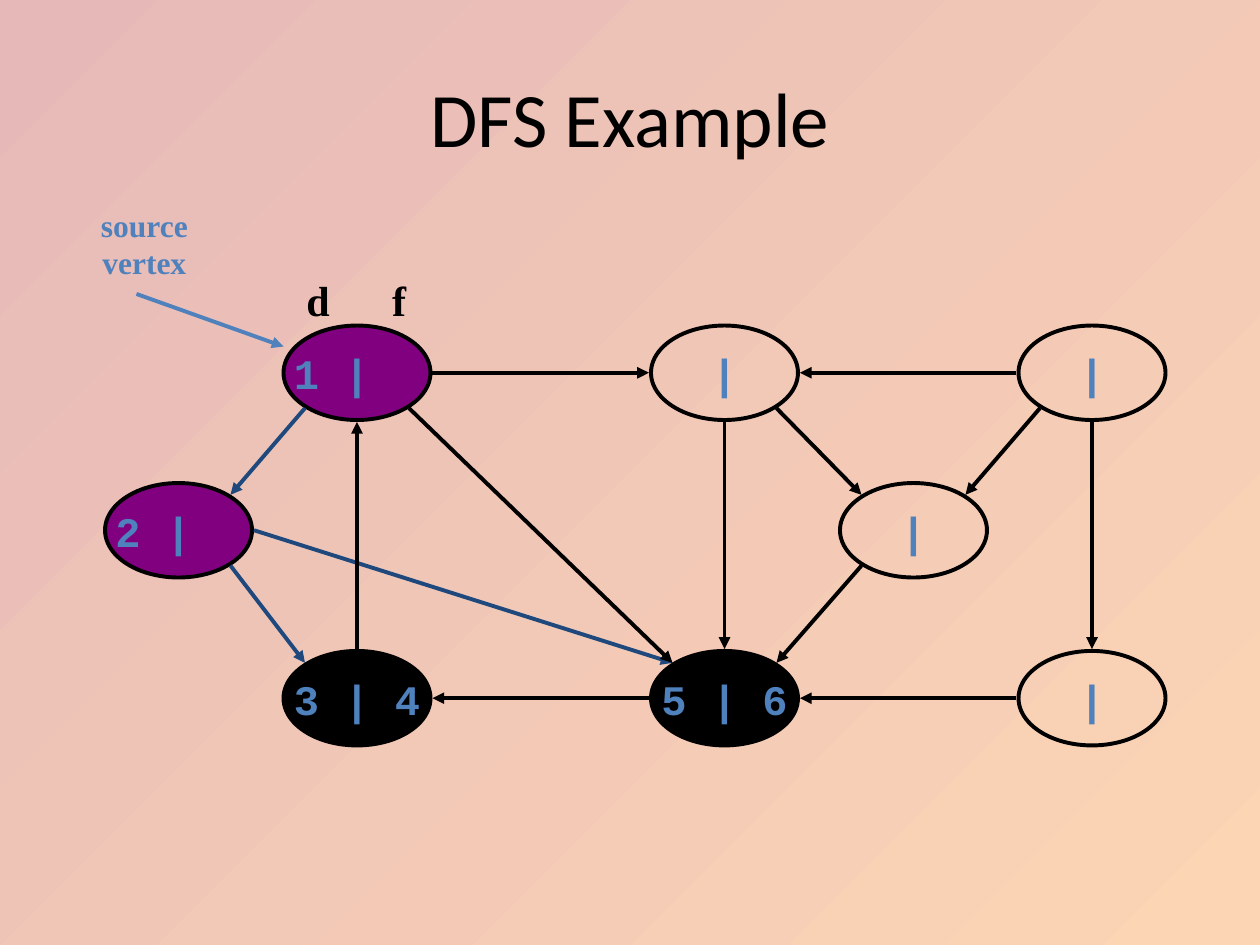
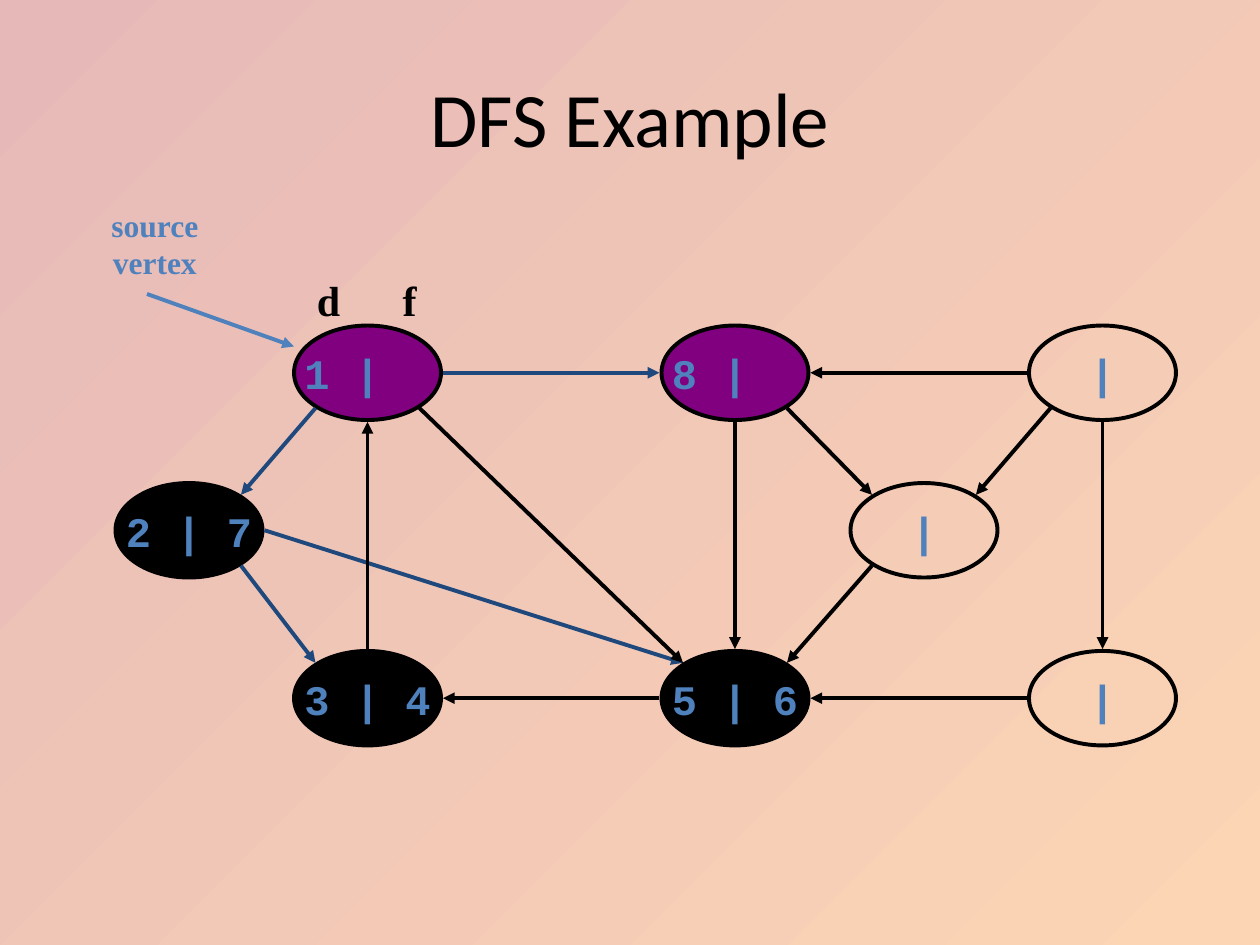
from math import sqrt

from lxml.etree import SubElement
from pptx import Presentation
from pptx.dml.color import RGBColor
from pptx.enum.shapes import MSO_CONNECTOR, MSO_SHAPE
from pptx.enum.text import MSO_ANCHOR, PP_ALIGN
from pptx.oxml.ns import qn
from pptx.util import Inches, Pt

COLORS = {
    "backdrop_start": "E6B9B8",
    "backdrop_end": "FCD5B5",
    "ink": "000000",
    "active": "800080",
    "finished": "000000",
    "accent": "4F81BD",
    "tree_edge": "1F497D",
}
WIDTH, HEIGHT = Inches(10), Inches(7.5)
GRID = WIDTH / 120
NODE_COLUMNS, NODE_ROWS = 14, 9
GAP = 0.19
LINE_WIDTH = Pt(2.25)

NODES = {
    "source": (27, 31), "top": (62, 31), "right": (97, 31),
    "sink": (97, 62), "bottom": (62, 62), "corner": (27, 62),
    "left": (10, 46), "middle": (80, 46),
}
EDGES = [
    ("source", "sw", "left", "ne"),
    ("left", "se", "corner", "nw"),
    ("left", "e", "bottom", "nw"),
    ("bottom", "w", "corner", "e"),
    ("corner", "n", "source", "s"),
    ("source", "se", "bottom", "nw"),
    ("top", "s", "bottom", "n"),
    ("source", "e", "top", "w"),
    ("right", "w", "top", "e"),
    ("top", "se", "middle", "nw"),
    ("right", "sw", "middle", "ne"),
    ("right", "s", "sink", "n"),
    ("sink", "w", "bottom", "e"),
    ("middle", "sw", "bottom", "ne"),
]
FIRST_TREE = {("source", "left"), ("left", "corner"), ("left", "bottom")}
STEPS = [
    (0, {"source": "1 |", "left": "2 |", "corner": "3 | 4", "bottom": "5 | 6"},
     FIRST_TREE),
    (1, {"source": "1 |", "top": "8 |", "left": "2 | 7", "corner": "3 | 4",
         "bottom": "5 | 6"},
     FIRST_TREE | {("source", "top")}),
]


def rgb(name):
    """Return the named colour."""
    return RGBColor.from_string(COLORS[name])


def cells(*values):
    """Convert grid cells to lengths."""
    return [round(value * GRID) for value in values]


def add_run(paragraph, text, font_name, size, color, bold=True):
    """Append one formatted run."""
    run = paragraph.add_run()
    run.text = text
    run.font.name, run.font.size, run.font.bold = font_name, Pt(size), bold
    run.font.color.rgb = rgb(color)


def style_master(master):
    """Give every slide the diagonal gradient."""
    fill = master.background.fill
    fill.gradient()
    fill.gradient_angle = 315
    for stop, name in zip(fill.gradient_stops, ("backdrop_start", "backdrop_end")):
        stop.color.rgb = rgb(name)


def add_title(slide, text):
    """Place the centred slide title."""
    title = slide.shapes.title
    title.left, title.top = round(WIDTH * 0.05), round(HEIGHT * 0.04)
    title.width, title.height = round(WIDTH * 0.9), Inches(1.25)
    title.text_frame.vertical_anchor = MSO_ANCHOR.MIDDLE
    paragraph = title.text_frame.paragraphs[0]
    paragraph.alignment = PP_ALIGN.CENTER
    add_run(paragraph, text, "Calibri", 44, "ink", bold=False)


def add_node(shapes, column, row, times):
    """Draw a vertex whose bar stays at its centre."""
    node = shapes.add_shape(MSO_SHAPE.OVAL, *cells(column, row, NODE_COLUMNS, NODE_ROWS))
    node.shadow.inherit = False
    node.line.color.rgb = rgb("ink")
    node.line.width = LINE_WIDTH
    discovered_only = times.endswith("|") and times != "|"
    if times == "|":
        node.fill.background()
    else:
        node.fill.solid()
        node.fill.fore_color.rgb = rgb("active" if discovered_only else "finished")
    frame = node.text_frame
    frame.word_wrap = False
    frame.vertical_anchor = MSO_ANCHOR.MIDDLE
    frame.margin_left = 0
    frame.margin_right = Inches(0.4) if discovered_only else 0
    paragraph = frame.paragraphs[0]
    paragraph.alignment = PP_ALIGN.CENTER
    add_run(paragraph, times, "Courier New", 24, "accent")


def site(name, direction):
    """Locate a connection point just outside a vertex."""
    column, row = NODES[name]
    across = ("e" in direction) - ("w" in direction)
    down = ("s" in direction) - ("n" in direction)
    diagonal = len(direction) == 2
    reach = 1 / sqrt(2) if diagonal else 1
    x = column + NODE_COLUMNS / 2 + across * (NODE_COLUMNS / 2 * reach + GAP * (not diagonal))
    y = row + NODE_ROWS / 2 + down * (NODE_ROWS / 2 * reach + GAP)
    return x, y


def add_arrow(shapes, shift, start, end, color):
    """Draw an arrow between two grid points."""
    (start_x, start_y), (end_x, end_y) = start, end
    arrow = shapes.add_connector(
        MSO_CONNECTOR.STRAIGHT, *cells(start_x + shift, start_y, end_x + shift, end_y))
    arrow.line.color.rgb = rgb(color)
    arrow.line.width = LINE_WIDTH
    SubElement(arrow.line._get_or_add_ln(), qn("a:tailEnd"), type="triangle")
    SubElement(arrow._element.spPr, qn("a:effectLst"))


def add_source_label(shapes, shift):
    """Name the source vertex and point at it."""
    add_arrow(shapes, shift, (13, 28), (27, 33), "accent")
    label = shapes.add_textbox(*cells(8.4 + shift, 19, 10.7, 8.4))
    label.text_frame.word_wrap = False
    paragraph = label.text_frame.paragraphs[0]
    paragraph.alignment = PP_ALIGN.CENTER
    add_run(paragraph, "source", "Times New Roman", 18, "accent")
    paragraph.add_line_break()
    add_run(paragraph, "vertex", "Times New Roman", 18, "accent")


def add_time_header(shapes, shift):
    """Head the discovery and finish times."""
    header = shapes.add_textbox(*cells(28 + shift, 24, NODE_COLUMNS, NODE_ROWS))
    frame = header.text_frame
    frame.word_wrap = True
    frame.vertical_anchor = MSO_ANCHOR.MIDDLE
    paragraph = frame.paragraphs[0]
    stops = SubElement(paragraph._p.get_or_add_pPr(), qn("a:tabLst"))
    SubElement(stops, qn("a:tab"), pos=str(Inches(0.68)), algn="l")
    add_run(paragraph, "d\tf", "Times New Roman", 24, "ink")


def add_graph(slide, shift, times, tree):
    """Draw the graph at one step of the search."""
    shapes = slide.shapes.add_group_shape().shapes
    for name, (column, row) in NODES.items():
        add_node(shapes, column + shift, row, times.get(name, "|"))
    for tail, leaving, head, entering in EDGES:
        color = "tree_edge" if (tail, head) in tree else "ink"
        add_arrow(shapes, shift, site(tail, leaving), site(head, entering), color)
    add_source_label(shapes, shift)
    add_time_header(shapes, shift)


def main():
    """Build the presentation."""
    presentation = Presentation()
    presentation.slide_width, presentation.slide_height = WIDTH, HEIGHT
    style_master(presentation.slide_master)
    for shift, times, tree in STEPS:
        slide = presentation.slides.add_slide(presentation.slide_layouts[5])
        add_title(slide, "DFS Example")
        add_graph(slide, shift, times, tree)
    presentation.save("out.pptx")


if __name__ == "__main__":
    main()
